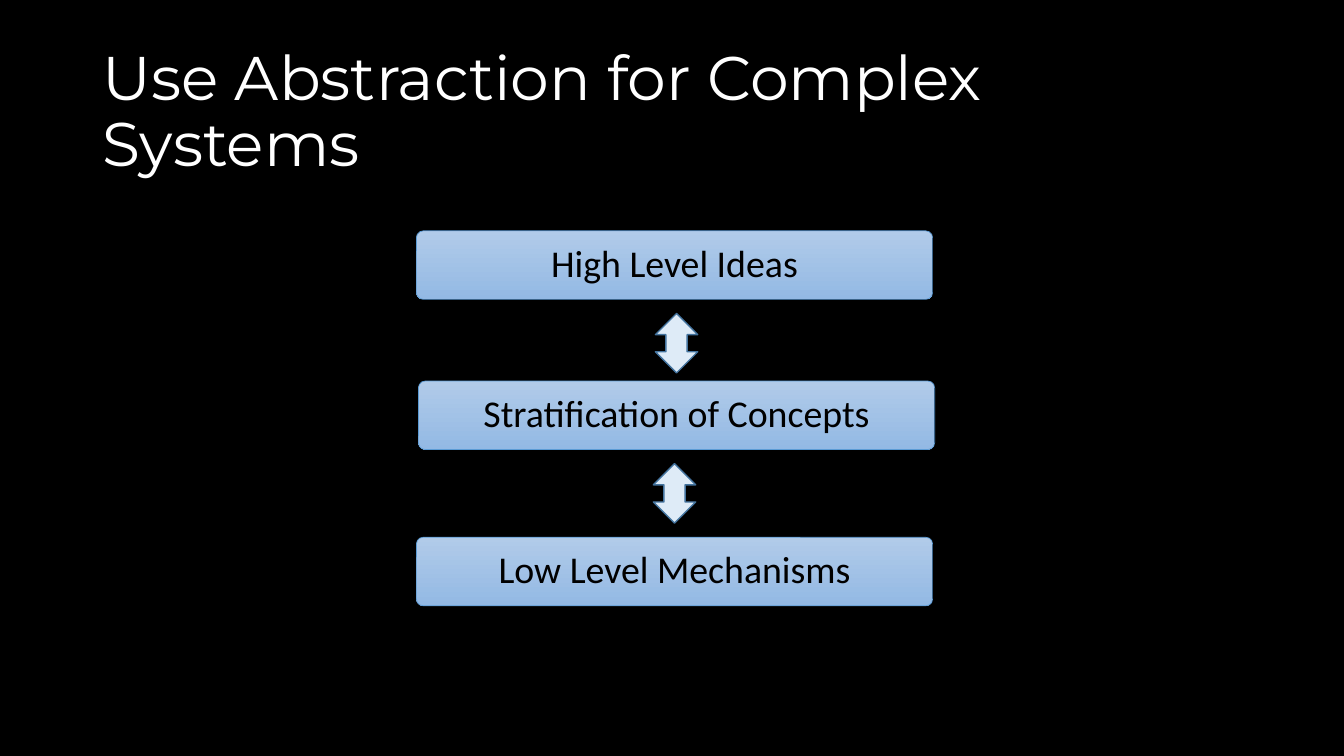
from pptx import Presentation
from pptx.dml.color import RGBColor
from pptx.enum.shapes import MSO_SHAPE as Preset
from pptx.enum.text import MSO_ANCHOR as Anchor, PP_ALIGN as Align
from pptx.util import Inches, Pt

BLACK = RGBColor(0x00, 0x00, 0x00)
WHITE = RGBColor(0xFF, 0xFF, 0xFF)
LEVEL_TOP = RGBColor(0xB1, 0xCB, 0xE9)
LEVEL_BOTTOM = RGBColor(0x93, 0xB9, 0xE4)
LEVEL_EDGE = RGBColor(0x5B, 0x9B, 0xD5)
ARROW_FILL = RGBColor(0xDE, 0xEB, 0xF7)
ARROW_EDGE = RGBColor(0x43, 0x73, 0x9E)


class AbstractionSlide:
    """Draws the title, levels and arrows of one slide in a shared style."""

    def __init__(self, deck):
        self.slide = deck.slides.add_slide(deck.slide_layouts[6])
        background = self.slide.background.fill
        background.solid()
        background.fore_color.rgb = BLACK

    def set_text(self, frame, text, font_name, size, color, align):
        frame.word_wrap = True
        frame.vertical_anchor = Anchor.MIDDLE
        paragraph = frame.paragraphs[0]
        paragraph.text = text
        paragraph.alignment = align
        paragraph.line_spacing = 0.9
        paragraph.font.name = font_name
        paragraph.font.size = Pt(size)
        paragraph.font.color.rgb = color

    def title(self, text):
        heading = self.slide.shapes.add_textbox(
            Inches(0.92), Inches(0.4), Inches(11.5), Inches(1.45))
        self.set_text(heading.text_frame, text, "Montserrat", 44, WHITE, Align.LEFT)

    def outlined(self, preset, left, top, width, height, edge, weight):
        shape = self.slide.shapes.add_shape(
            preset, Inches(left), Inches(top), Inches(width), Inches(height))
        shape.shadow.inherit = False
        shape.line.color.rgb = edge
        shape.line.width = Pt(weight)
        return shape

    def level(self, text, left, top):
        level = self.outlined(
            Preset.ROUNDED_RECTANGLE, left, top, 5.12, 0.68, LEVEL_EDGE, 0.5)
        level.adjustments[0] = 0.1
        level.fill.gradient()
        level.fill.gradient_angle = 270
        for stop, color in zip(level.fill.gradient_stops, (LEVEL_TOP, LEVEL_BOTTOM)):
            stop.color.rgb = color
        frame = level.text_frame
        frame.margin_left = frame.margin_right = Inches(0.13)
        frame.margin_top = frame.margin_bottom = Inches(0.13)
        self.set_text(frame, text, "Calibri", 27, BLACK, Align.CENTER)

    def arrow(self, left, top):
        arrow = self.outlined(
            Preset.UP_DOWN_ARROW, left, top, 0.42, 0.59, ARROW_EDGE, 1)
        arrow.fill.solid()
        arrow.fill.fore_color.rgb = ARROW_FILL


def main():
    deck = Presentation()
    deck.slide_width = Inches(13.33)
    deck.slide_height = Inches(7.5)
    abstraction = AbstractionSlide(deck)
    abstraction.title("Use Abstraction for Complex Systems")
    for concept, left, top in (
        ("High Level Ideas", 4.13, 2.29),
        ("Stratification of Concepts", 4.15, 3.78),
        ("Low Level Mechanisms", 4.13, 5.33),
    ):
        abstraction.level(concept, left, top)
    for left, top in ((6.5, 3.11), (6.48, 4.6)):
        abstraction.arrow(left, top)
    deck.save("out.pptx")


if __name__ == "__main__":
    main()
